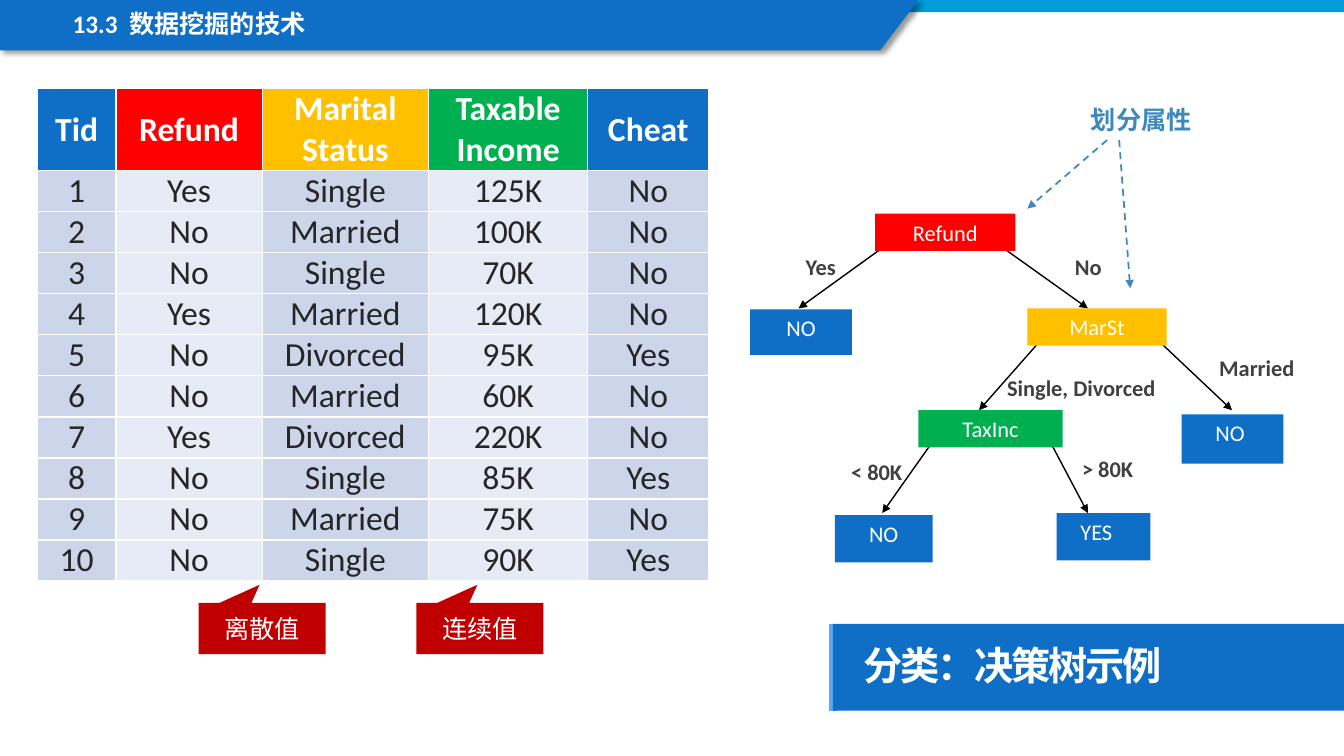
from lxml import etree
from pptx import Presentation
from pptx import util as u
from pptx.dml.color import RGBColor
from pptx.enum import dml, shapes, text
from pptx.oxml import ns

PX = 9144  # one px is a hundredth of an inch
INK = {"white": "FFFFFF", "blue": "0F6FC6", "cyan": "009DD9", "sky": "59AAF2",
       "red": "FF0000", "gold": "FFC000", "green": "00B050", "wine": "C00000",
       "band": "CCD5EA", "pale": "E7EBF5", "dark": "262626", "grey": "404040",
       "steel": "3D89BC", "black": "000000"}
LATIN, HAN = "Calibri", "Noto Sans CJK SC"
KIND = shapes.MSO_SHAPE
MID, LEFT = text.PP_ALIGN.CENTER, text.PP_ALIGN.LEFT
TOP, CORE = text.MSO_ANCHOR.TOP, text.MSO_ANCHOR.MIDDLE

HEADS = [("Tid", 78, "blue"), ("Refund", 145, "red"), ("Marital\nStatus", 165, "gold"),
         ("Taxable\nIncome", 158, "green"), ("Cheat", 120, "blue")]
ROWS = """1 Yes Single 125K No
2 No Married 100K No
3 No Single 70K No
4 Yes Married 120K No
5 No Divorced 95K Yes
6 No Married 60K No
7 Yes Divorced 220K No
8 No Single 85K Yes
9 No Married 75K No
10 No Single 90K Yes"""

# Tree parts, placed from the tree's top left corner
EDGES = [(299, 342, 335, 410), (179, 342, 131, 410), (287, 240, 227, 308),
         (406, 240, 478, 308), (251, 147, 335, 207), (131, 147, 48, 207)]
HINTS = [(354, 40, 275, 108), (366, 40, 377, 187)]
# Name, colour, left, top, width, height, extra right inset
NODES = [("Refund", "red", 124, 113, 139, 37, 0), ("MarSt", "gold", 275, 207, 138, 37, 0),
         ("TaxInc", "green", 167, 308, 143, 37, 0), ("NO", "blue", 0, 208, 101, 45, 0),
         ("NO", "blue", 428, 312, 101, 49, 5), ("NO", "blue", 84, 412, 97, 47, 0),
         ("YES", "blue", 304, 410, 93, 47, 14)]
LABELS = [("Yes", 45, 147, 50), ("No", 312, 147, 47), ("Married", 452, 247, 101),
          ("Single, Divorced", 244, 267, 169), ("< 80K", 90, 351, 71), ("> 80K", 319, 348, 71)]


def px(*nums):
    return [u.Emu(n * PX) for n in nums]


def rgb(name):
    return RGBColor.from_string(INK[name])


def style(par, size, ink, bold=False, face=LATIN, align=MID):
    par.alignment = align
    font = par.font
    font.size, font.bold, font.name = u.Pt(size), bold, face
    font.color.rgb = rgb(ink)
    props = par._p.pPr.find(ns.qn("a:defRPr"))
    etree.SubElement(props, ns.qn("a:ea")).set("typeface", HAN)
    return props


def write(frame, words, *look, anchor=CORE, inset=(10, 5, 10, 5), wrap=True, **more):
    frame.text = words
    frame.word_wrap, frame.vertical_anchor = wrap, anchor
    (frame.margin_left, frame.margin_top,
     frame.margin_right, frame.margin_bottom) = px(*inset)
    return style(frame.paragraphs[0], *look, **more)


def paint(shape, ink):
    shape.shadow.inherit = False
    shape.fill.solid()
    shape.fill.fore_color.rgb = rgb(ink)
    shape.line.fill.background()
    return shape


def block(slide, ink, box, kind=KIND.RECTANGLE):
    return paint(slide.shapes.add_shape(kind, *px(*box)), ink)


def rule(slide, ends, ink, width, arrow=True, dash=False):
    line = slide.shapes.add_connector(shapes.MSO_CONNECTOR.STRAIGHT, *px(*ends))
    line.line.color.rgb, line.line.width = rgb(ink), u.Pt(width)
    if dash:
        line.line.dash_style = dml.MSO_LINE.DASH
    if arrow:
        stroke = line.line._get_or_add_ln()
        etree.SubElement(stroke, ns.qn("a:tailEnd")).set("type", "triangle")
    etree.SubElement(line._element.spPr, ns.qn("a:effectLst"))


def place(holder, box):
    """Move a placeholder to a box, in front of what is drawn so far."""
    holder.left, holder.top, holder.width, holder.height = px(*box)
    holder.element.getparent().append(holder.element)
    holder.text_frame.auto_size = text.MSO_AUTO_SIZE.NONE
    return holder.text_frame


def header(slide, left, top, width):
    block(slide, "cyan", (left, top, width, 12))
    path = slide.shapes.build_freeform(left, top, scale=PX)
    path.add_line_segments([(left + 911, top), (left + 873, top + 50), (left, top + 50)])
    ribbon = paint(path.convert_to_shape(), "blue")
    glow = ribbon._element.spPr.find(ns.qn("a:effectLst"))
    shade = etree.SubElement(glow, ns.qn("a:outerShdw"), blurRad=str(u.Pt(4)),
                             dist=str(u.Pt(3)), dir="2700000", algn="tl", rotWithShape="0")
    tint = etree.SubElement(shade, ns.qn("a:srgbClr"), val=INK["black"])
    etree.SubElement(tint, ns.qn("a:alpha"), val="40000")

    frame = place(slide.placeholders[1], (left + 62, top + 7, 696, 38))
    frame.text = "13.3  数据挖掘的技术"
    par = frame.paragraphs[0]
    props = par._p.get_or_add_pPr()
    props.set("marL", "0")
    props.set("indent", "0")
    etree.SubElement(props, ns.qn("a:buNone"))
    frame.word_wrap, frame.vertical_anchor = True, TOP
    par.line_spacing, par.space_before = 0.9, u.Pt(0)
    style(par, 18, "white", True, align=LEFT)


def title(slide, left, top, width, height):
    rule(slide, (left, top + height, left, top), "sky", 6, arrow=False)
    holder = slide.shapes.title
    frame = place(holder, (left, top, width, height))
    holder.fill.solid()
    holder.fill.fore_color.rgb = rgb("blue")
    props = write(frame, "分类：决策树示例", 28, "white", True, HAN, LEFT, inset=(30, 20, 20, 20))
    props.set("spc", "-150")
    frame.paragraphs[0].line_spacing = 0.9


def records(slide, left, top):
    rows = [line.split() for line in ROWS.splitlines()]
    wide = sum(width for _, width, _ in HEADS)
    grid = slide.shapes.add_table(len(rows) + 1, len(HEADS),
                                  *px(left, top, wide, 80 + 40 * len(rows))).table
    grid.horz_banding = False
    for col, (_, width, _) in zip(grid.columns, HEADS):
        col.width = u.Emu(width * PX)
    for r, row in enumerate([[head for head, _, _ in HEADS]] + rows):
        grid.rows[r].height = u.Emu((40 if r else 80) * PX)
        for c, words in enumerate(row):
            cell = grid.cell(r, c)
            cell.text, cell.vertical_anchor = words, CORE
            (cell.margin_left, cell.margin_top,
             cell.margin_right, cell.margin_bottom) = px(6, 0, 6, 0)
            cell.fill.solid()
            cell.fill.fore_color.rgb = rgb(("band", "pale")[c % 2] if r else HEADS[c][2])
            for par in cell.text_frame.paragraphs:
                style(par, 24, "dark" if r else "white", not r)


def notes(slide, left, top):
    for i, words in enumerate(["离散值", "连续值"]):
        bubble = block(slide, "wine", (left + 216 * i, top, 126, 51), KIND.RECTANGULAR_CALLOUT)
        bubble.adjustments[0], bubble.adjustments[1] = -0.02, -0.85
        write(bubble.text_frame, words, 18, "white", face=HAN)


def label(slide, words, box, *look):
    area = slide.shapes.add_textbox(*px(*box))
    write(area.text_frame, words, *look, anchor=TOP, wrap=False)


def tree(slide, left, top):
    def shift(ends):
        return [n + (left, top)[i % 2] for i, n in enumerate(ends)]

    for ends in EDGES:
        rule(slide, shift(ends), "black", 1)
    for words, ink, x, y, wide, high, pad in NODES:
        node = block(slide, ink, (left + x, top + y, wide, high))
        write(node.text_frame, words, 16, "white", anchor=TOP, inset=(10, 5, 10 + pad, 5))
    for words, x, y, wide in LABELS:
        label(slide, words, (left + x, top + y, wide, 37), 16, "grey", True)
    label(slide, "划分属性", (left + 327, top, 122, 40), 18, "steel", True)
    for ends in HINTS:
        rule(slide, shift(ends), "steel", 1.25, dash=True)


def main():
    deck = Presentation()
    deck.slide_width, deck.slide_height = px(1333, 750)
    slide = deck.slides.add_slide(deck.slide_layouts[1])
    header(slide, 0, 0, 1333)
    title(slide, 826, 619, 507, 86)
    records(slide, 37, 88)
    notes(slide, 197, 598)
    tree(slide, 744, 99)
    deck.save("out.pptx")


if __name__ == "__main__":
    main()
